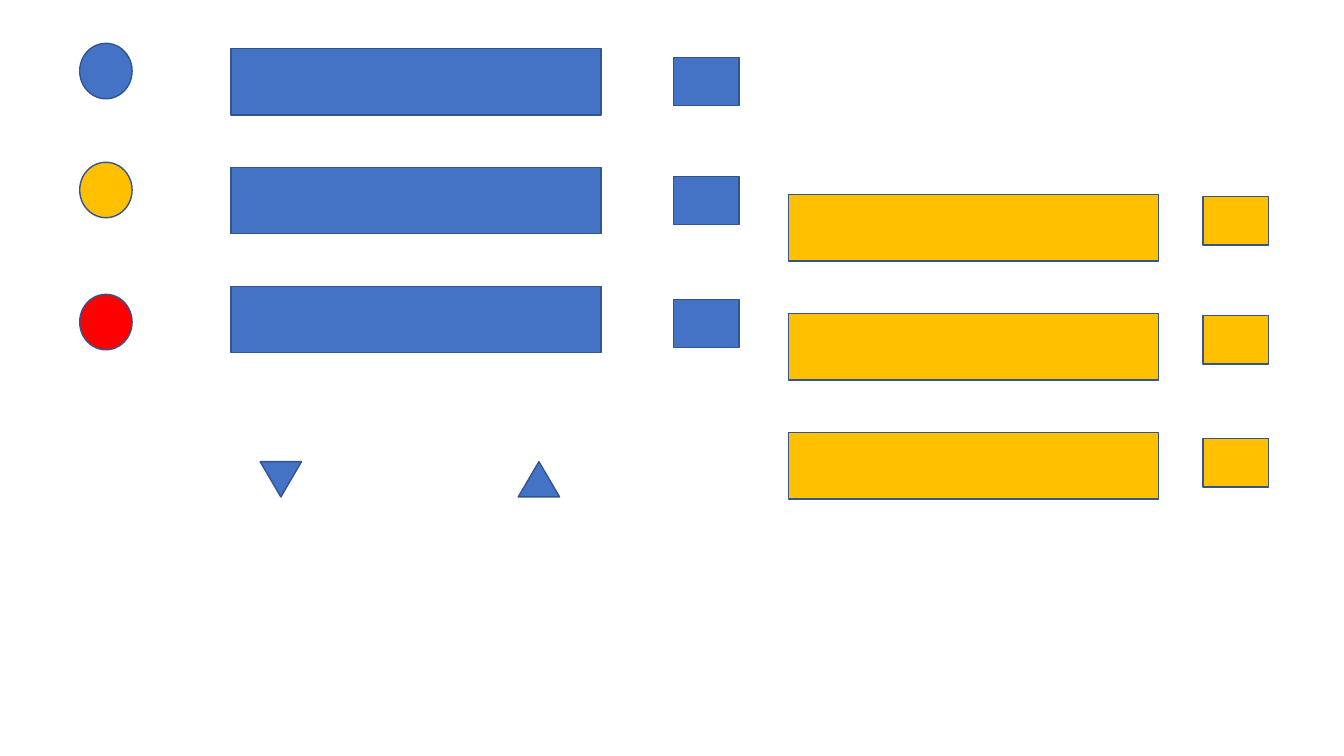
from dataclasses import dataclass

from pptx import Presentation
from pptx.dml.color import RGBColor
from pptx.enum.shapes import MSO_SHAPE as Preset
from pptx.util import Inches, Pt


@dataclass(frozen=True)
class Theme:
    blue: str = "4472C4"
    amber: str = "FFC000"
    red: str = "FF0000"
    outline: str = "325491"
    outline_width: float = 1


theme = Theme()

BAR_SIZE = (3.67, 0.66)
BOX_SIZE = (0.65, 0.48)
LIGHT_SIZE = (0.52, 0.55)
ARROW_SIZE = (0.41, 0.35)
ROW_PITCH = 1.18
BOX_OFFSETS = (0, 1.18, 2.4)

bar_groups = [
    (2.29, 0.48, theme.blue),
    (7.82, 1.93, theme.amber),
]
lights = [
    (0.43, theme.blue),
    (1.61, theme.amber),
    (2.92, theme.red),
]
light_left = 0.79
arrows = [(2.58, 180), (5.14, 0)]
arrow_top = 4.58
box_groups = [
    (6.68, 0.57, theme.blue),
    (11.93, 1.95, theme.amber),
]

deck = Presentation()
deck.slide_width, deck.slide_height = Inches(13.33), Inches(7.5)
slide = deck.slides.add_slide(deck.slide_layouts[6])


def draw(preset, left, top, size, color, rotation=0):
    shape = slide.shapes.add_shape(preset, *map(Inches, (left, top, *size)))
    shape.shadow.inherit = False
    shape.fill.solid()
    shape.fill.fore_color.rgb = RGBColor.from_string(color)
    shape.line.color.rgb = RGBColor.from_string(theme.outline)
    shape.line.width = Pt(theme.outline_width)
    shape.rotation = rotation


bar_offsets = [row * ROW_PITCH for row in range(3)]


def draw_columns(groups, offsets, size):
    for left, top, color in groups:
        for offset in offsets:
            draw(Preset.RECTANGLE, left, top + offset, size, color)


draw_columns(bar_groups, bar_offsets, BAR_SIZE)
draw_columns(box_groups, BOX_OFFSETS, BOX_SIZE)

for top, color in lights:
    draw(Preset.OVAL, light_left, top, LIGHT_SIZE, color)

for left, rotation in arrows:
    draw(Preset.ISOSCELES_TRIANGLE, left, arrow_top, ARROW_SIZE, theme.blue, rotation)

deck.save("out.pptx")
